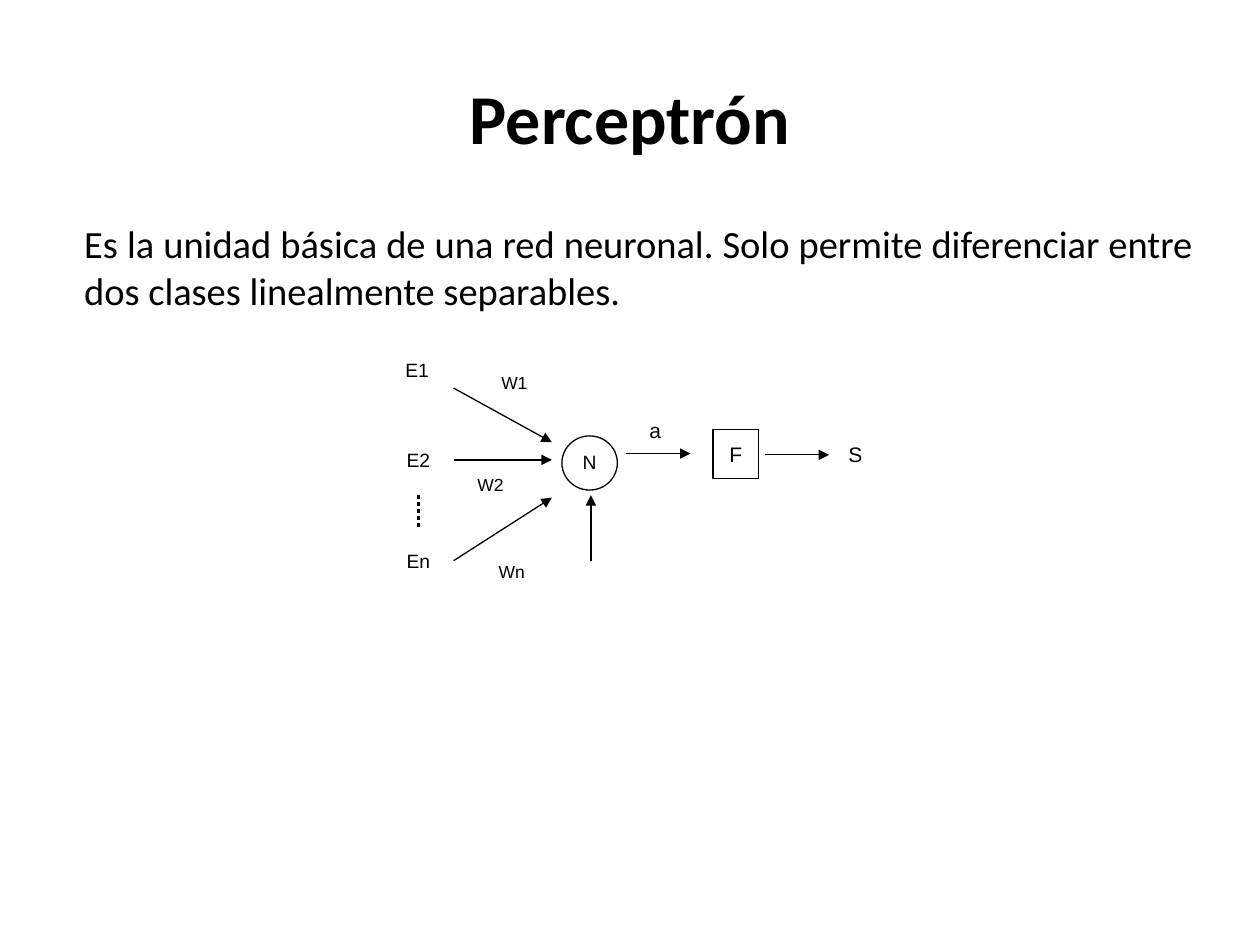
from lxml.etree import SubElement
from pptx import Presentation
from pptx.dml.color import RGBColor
from pptx.enum.dml import MSO_LINE
from pptx.enum.shapes import MSO_CONNECTOR, MSO_SHAPE
from pptx.enum.text import MSO_ANCHOR as ANCHOR, PP_ALIGN as ALIGN
from pptx.oxml.ns import qn
from pptx.util import Inches, Pt

BLACK = RGBColor(0, 0, 0)
WHITE = RGBColor(255, 255, 255)


def place(sp, left, top, width, height):
    sp.left, sp.top = Inches(left), Inches(top)
    sp.width, sp.height = Inches(width), Inches(height)


def write(sp, text, size, font, align, anchor=ANCHOR.TOP, bold=False):
    tf = sp.text_frame
    tf.word_wrap = True
    tf.vertical_anchor = anchor
    p = tf.paragraphs[0]
    p.text = text
    p.alignment = align
    p.font.size = Pt(size)
    p.font.name = font
    p.font.bold = bold
    p.font.color.rgb = BLACK


def add_node(s, text, box, size, align=ALIGN.CENTER, anchor=ANCHOR.TOP,
             shape=MSO_SHAPE.RECTANGLE, outlined=False):
    """Add a white shape with a short label, with or without an outline."""
    sp = s.shapes.add_shape(shape, *map(Inches, box))
    sp.shadow.inherit = False
    sp.fill.solid()
    sp.fill.fore_color.rgb = WHITE
    if outlined:
        sp.line.color.rgb = BLACK
        sp.line.width = Pt(0.75)
    else:
        sp.line.fill.background()
    write(sp, text, size, "Arial", align, anchor)


def add_line(s, start, end, width=0.75):
    cxn = s.shapes.add_connector(MSO_CONNECTOR.STRAIGHT,
                                 *map(Inches, start + end))
    cxn.line.color.rgb = BLACK
    cxn.line.width = Pt(width)
    SubElement(cxn._element.spPr, qn("a:effectLst"))
    return cxn


def add_arrow(s, start, end):
    cxn = add_line(s, start, end)
    SubElement(cxn.line._get_or_add_ln(), qn("a:tailEnd"), type="triangle")


def add_heading(s):
    title = s.shapes.title
    place(title, 0.5, 0.3, 9, 1.25)
    write(title, "Perceptrón", 40, "Calibri", ALIGN.CENTER, ANCHOR.MIDDLE, True)

    body = s.shapes.add_textbox(*map(Inches, (0.57, 1.7, 9, 0.79)))
    write(body, "Es la unidad básica de una red neuronal. Solo permite "
          "diferenciar entre dos clases linealmente separables.",
          22, "Calibri", ALIGN.JUSTIFY)


def add_perceptron(s):
    label_size = (0.58, 0.29)
    for text, left, top in (("E1", 3.02, 2.79), ("E2", 3.03, 3.51),
                            ("En", 3.03, 4.31)):
        add_node(s, text, (left, top, *label_size), 11)
    for text, left, top in (("W1", 3.88, 2.9), ("W2", 3.69, 3.71),
                            ("Wn", 3.86, 4.4)):
        add_node(s, text, (left, top, *label_size), 10, ALIGN.LEFT)

    add_node(s, "N", (4.46, 3.46, 0.44, 0.43), 11,
             shape=MSO_SHAPE.OVAL, outlined=True)
    add_node(s, "a", (5.03, 3.22, 0.34, 0.34), 12, anchor=ANCHOR.BOTTOM)
    add_node(s, "F", (5.66, 3.41, 0.36, 0.39), 12, anchor=ANCHOR.MIDDLE,
             outlined=True)
    add_node(s, "S", (6.61, 3.41, 0.36, 0.39), 12, anchor=ANCHOR.MIDDLE)

    for start_y, end_y in ((3.08, 3.51), (3.65, 3.65), (4.45, 3.95)):
        add_arrow(s, (3.6, start_y), (4.38, end_y))
    add_arrow(s, (4.69, 4.45), (4.69, 3.93))
    add_arrow(s, (4.97, 3.6), (5.48, 3.6))
    add_arrow(s, (6.07, 3.61), (6.58, 3.61))

    more_inputs = add_line(s, (3.32, 3.93), (3.32, 4.19), 2)
    more_inputs.line.dash_style = MSO_LINE.ROUND_DOT


def main():
    prs = Presentation()
    prs.slide_width, prs.slide_height = Inches(10), Inches(7.5)
    s = prs.slides.add_slide(prs.slide_layouts[5])
    add_heading(s)
    add_perceptron(s)
    prs.save("out.pptx")


if __name__ == "__main__":
    main()
